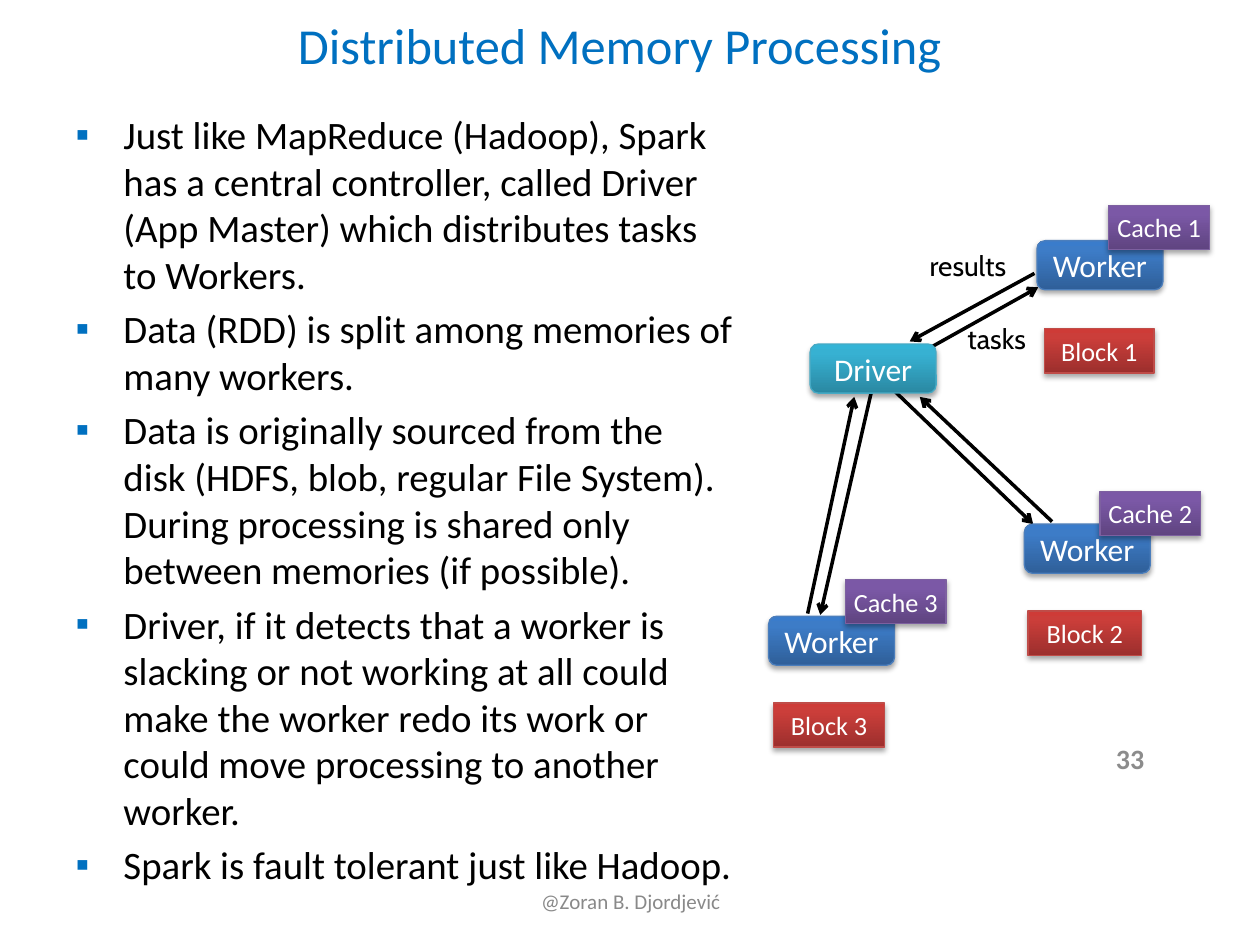
"""Build the Distributed Memory Processing slide."""
from copy import deepcopy
from dataclasses import dataclass

from lxml.etree import SubElement
from pptx import Presentation
from pptx.dml.color import RGBColor
from pptx.enum.shapes import MSO_CONNECTOR, MSO_SHAPE
from pptx.enum.text import MSO_ANCHOR, MSO_AUTO_SIZE, PP_ALIGN
from pptx.oxml.ns import qn
from pptx.util import Inches, Pt


@dataclass(frozen=True)
class Palette:
    """Gradient from bottom to top, and outline colour."""
    bottom: str
    middle: str
    top: str
    line: str


@dataclass(frozen=True)
class Theme:
    """Colours, fonts and type sizes of the slide."""
    accent: str = "0070C0"
    ink: str = "000000"
    light: str = "FFFFFF"
    footer: str = "898989"
    number: str = "8C8C8C"
    block: Palette = Palette("9C2F2D", "CB3E3A", "CE3B37", "BF4C48")
    worker: Palette = Palette("2F5F99", "3D7CC7", "3A7CCB", "4B7EBC")
    driver: Palette = Palette("2A88A2", "37B1D2", "34B4D6", "46AAC5")
    cache: Palette = Palette("5F4480", "7B58A6", "7C57A8", "7D60A0")
    font: str = "Calibri"
    label_font: str = "Cabin"
    title_size: float = 28.8
    body_size: float = 22.2
    node_size: float = 18
    label_size: float = 16
    tag_size: float = 15
    footer_size: float = 12


@dataclass(frozen=True)
class Box:
    """A filled box of the diagram."""
    text: str
    left: float
    top: float
    width: float
    height: float
    palette: Palette
    rounded: bool = False


@dataclass(frozen=True)
class Arrow:
    """A straight arrow between two points."""
    start: tuple[float, float]
    end: tuple[float, float]


THEME = Theme()
BULLETS = [
    "Just like MapReduce (Hadoop), Spark has a central controller, called Driver "
    "(App Master) which distributes tasks to Workers.",
    "Data (RDD) is split among memories of many workers.",
    "Data is originally sourced from the disk (HDFS, blob, regular File System). "
    "During processing is shared only between memories (if possible).",
    "Driver, if it detects that a worker is slacking or not working at all could "
    "make the worker redo its work or could move processing to another worker.",
    "Spark is fault tolerant just like Hadoop.",
]
BLOCKS = [
    Box(f"Block {number}", left, top, width, 0.35, THEME.block)
    for number, (left, top, width) in enumerate(
        [(8.29, 2.61, 0.87), (8.16, 4.85, 0.9), (6.14, 5.58, 0.88)], 1)
]
CACHES = [
    Box(f"Cache {number}", left, top, 0.8, 0.35, THEME.cache)
    for number, (left, top) in enumerate([(8.8, 1.63), (8.73, 3.9), (6.71, 4.6)], 1)
]
NODES = [
    Box("Worker", left, top, 1, 0.39, THEME.worker, True)
    for left, top in [(8.23, 1.91), (6.1, 4.89), (8.13, 4.16)]
] + [Box("Driver", 6.43, 2.73, 1, 0.39, THEME.driver, True)]
TASK_ARROWS = [
    Arrow((7.06, 2.94), (8.24, 2.28)),
    Arrow((6.95, 2.96), (8.2, 4.16)),
    Arrow((6.95, 2.96), (6.51, 4.88)),
]
RESULT_ARROWS = [
    Arrow((6.41, 4.87), (6.78, 3.15)),
    Arrow((8.35, 4.14), (7.3, 3.15)),
    Arrow((8.21, 2.17), (7.22, 2.71)),
]


def write(paragraph, text: str, *, size: float, color: str, font: str = THEME.font,
          bold: bool = False, align: PP_ALIGN = PP_ALIGN.LEFT) -> None:
    """Put formatted text in a paragraph."""
    paragraph.text = text
    paragraph.alignment = align
    paragraph.font.name = font
    paragraph.font.size = Pt(size)
    paragraph.font.bold = bold
    paragraph.font.color.rgb = RGBColor.from_string(color)


def place(shape, left: float, top: float, width: float, height: float) -> None:
    """Move and size a shape, in inches."""
    shape.left, shape.top = Inches(left), Inches(top)
    shape.width, shape.height = Inches(width), Inches(height)


def add_bullet(paragraph) -> None:
    """Give a paragraph a hanging square bullet."""
    properties = paragraph._p.get_or_add_pPr()
    properties.set("marL", str(Inches(0.38)))
    properties.set("indent", str(-Inches(0.38)))
    color = SubElement(properties, qn("a:buClr"))
    SubElement(color, qn("a:srgbClr"), val=THEME.accent)
    SubElement(properties, qn("a:buFont"), typeface="Arial")
    SubElement(properties, qn("a:buChar"), char="▪")


def paint(shape, palette: Palette) -> None:
    """Apply the gradient, outline and soft shadow."""
    shape.fill.gradient()
    shape.fill.gradient_angle = 90
    stop_list = shape._element.spPr.find(".//" + qn("a:gsLst"))
    stop_list.append(deepcopy(stop_list[-1]))
    colors = (palette.bottom, palette.middle, palette.top)
    for stop, color, position in zip(shape.fill.gradient_stops, colors, (0, 0.8, 1)):
        stop.color.rgb = RGBColor.from_string(color)
        stop.position = position
    shape.line.color.rgb = RGBColor.from_string(palette.line)
    shape.line.width = Pt(0.75)
    shape.shadow.inherit = False
    effects = shape._element.spPr.find(qn("a:effectLst"))
    shadow = SubElement(effects, qn("a:outerShdw"), blurRad=str(Pt(3.1)),
                        dist=str(Pt(1.8)), dir="5400000", rotWithShape="0")
    color = SubElement(shadow, qn("a:srgbClr"), val=THEME.ink)
    SubElement(color, qn("a:alpha"), val="35000")


def add_box(slide, box: Box) -> None:
    """Draw one labelled box."""
    kind = MSO_SHAPE.ROUNDED_RECTANGLE if box.rounded else MSO_SHAPE.RECTANGLE
    shape = slide.shapes.add_shape(kind, Inches(box.left), Inches(box.top),
                                   Inches(box.width), Inches(box.height))
    paint(shape, box.palette)
    frame = shape.text_frame
    frame.vertical_anchor = MSO_ANCHOR.MIDDLE
    if not box.rounded:
        frame.margin_left = frame.margin_right = 0
    write(frame.paragraphs[0], box.text, color=THEME.light, align=PP_ALIGN.CENTER,
          size=THEME.node_size if box.rounded else THEME.tag_size)


def add_arrow(slide, arrow: Arrow) -> None:
    """Draw one arrow with an open head at its end."""
    points = [Inches(value) for value in arrow.start + arrow.end]
    connector = slide.shapes.add_connector(MSO_CONNECTOR.STRAIGHT, *points)
    connector.line.color.rgb = RGBColor.from_string(THEME.ink)
    connector.line.width = Pt(2)
    SubElement(connector.line._get_or_add_ln(), qn("a:tailEnd"), type="arrow")
    SubElement(connector._element.spPr, qn("a:effectLst"))


def add_text(slide, text: str, left: float, top: float, width: float, height: float, *,
             wrap: bool = True, anchor: MSO_ANCHOR = MSO_ANCHOR.MIDDLE, **style) -> None:
    """Add a one-line text box."""
    shape = slide.shapes.add_textbox(Inches(left), Inches(top), Inches(width), Inches(height))
    shape.text_frame.word_wrap = wrap
    shape.text_frame.vertical_anchor = anchor
    write(shape.text_frame.paragraphs[0], text, **style)


def fill_placeholders(slide) -> None:
    """Write the title and the bulleted list."""
    title, body = slide.shapes.title, slide.placeholders[1]
    place(title, 0.42, 0.04, 9, 0.63)
    title.text_frame.vertical_anchor = MSO_ANCHOR.MIDDLE
    write(title.text_frame.paragraphs[0], "Distributed Memory Processing",
          size=THEME.title_size, color=THEME.accent, align=PP_ALIGN.CENTER)
    place(body, 0.5, 0.83, 5.42, 6.12)
    frame = body.text_frame
    frame.auto_size = MSO_AUTO_SIZE.NONE
    for index, text in enumerate(BULLETS):
        paragraph = frame.add_paragraph() if index else frame.paragraphs[0]
        add_bullet(paragraph)
        paragraph.space_before = Pt(4.4 if index else 0)
        write(paragraph, text, size=THEME.body_size, color=THEME.ink)


def main() -> None:
    """Assemble and save the presentation."""
    presentation = Presentation()
    presentation.slide_width, presentation.slide_height = Inches(10), Inches(7.5)
    slide = presentation.slides.add_slide(presentation.slide_layouts[1])
    fill_placeholders(slide)
    add_text(slide, "@Zoran B. Djordjević", 3.42, 6.95, 3.17, 0.4,
             size=THEME.footer_size, color=THEME.footer, align=PP_ALIGN.CENTER)
    add_text(slide, "33", 6.85, 5.88, 2.33, 0.27, size=THEME.label_size,
             color=THEME.number, bold=True, align=PP_ALIGN.RIGHT)
    for draw, items in ((add_box, BLOCKS), (add_arrow, TASK_ARROWS), (add_box, NODES),
                        (add_arrow, RESULT_ARROWS), (add_box, CACHES)):
        for item in items:
            draw(slide, item)
    for text, left, top, width in (("tasks", 7.58, 2.5, 0.68), ("results", 7.28, 1.92, 0.82)):
        add_text(slide, text, left, top, width, 0.37, wrap=False, anchor=MSO_ANCHOR.TOP,
                 size=THEME.label_size, color=THEME.ink, font=THEME.label_font)
    presentation.save("out.pptx")


if __name__ == "__main__":
    main()
